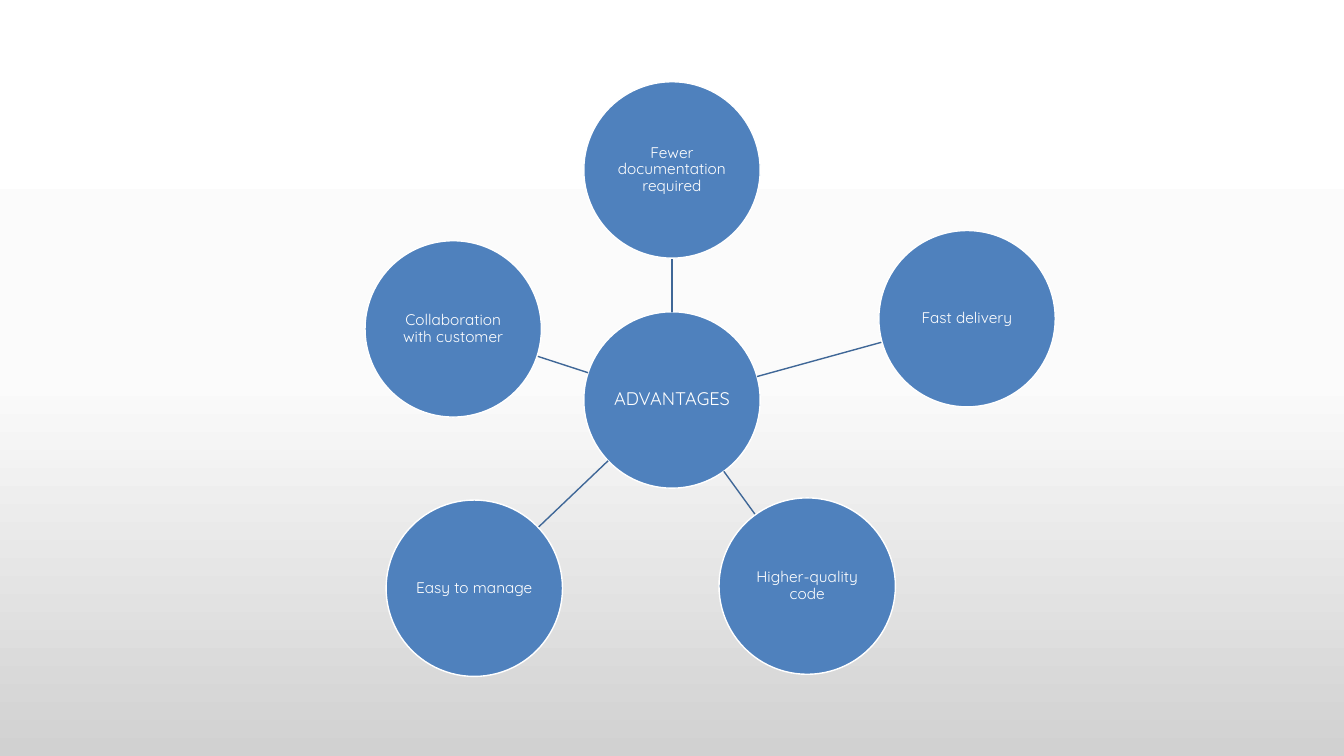
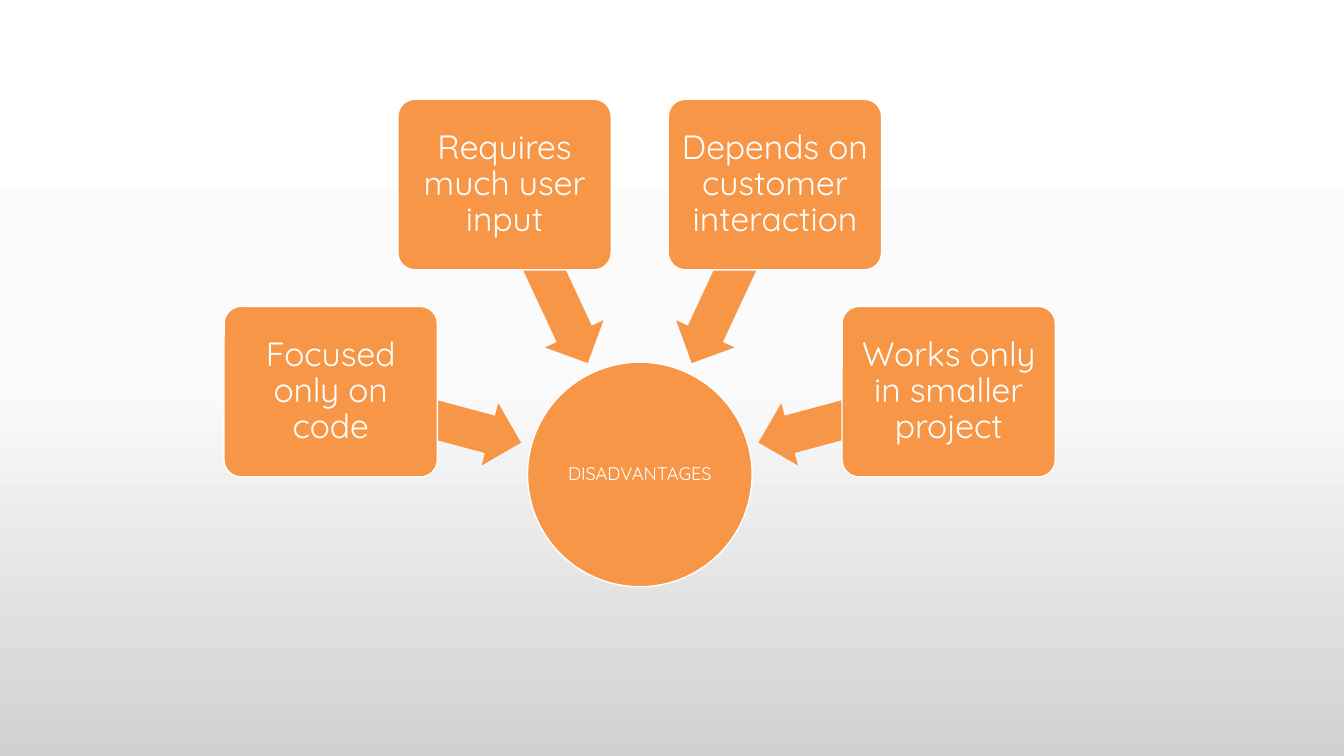
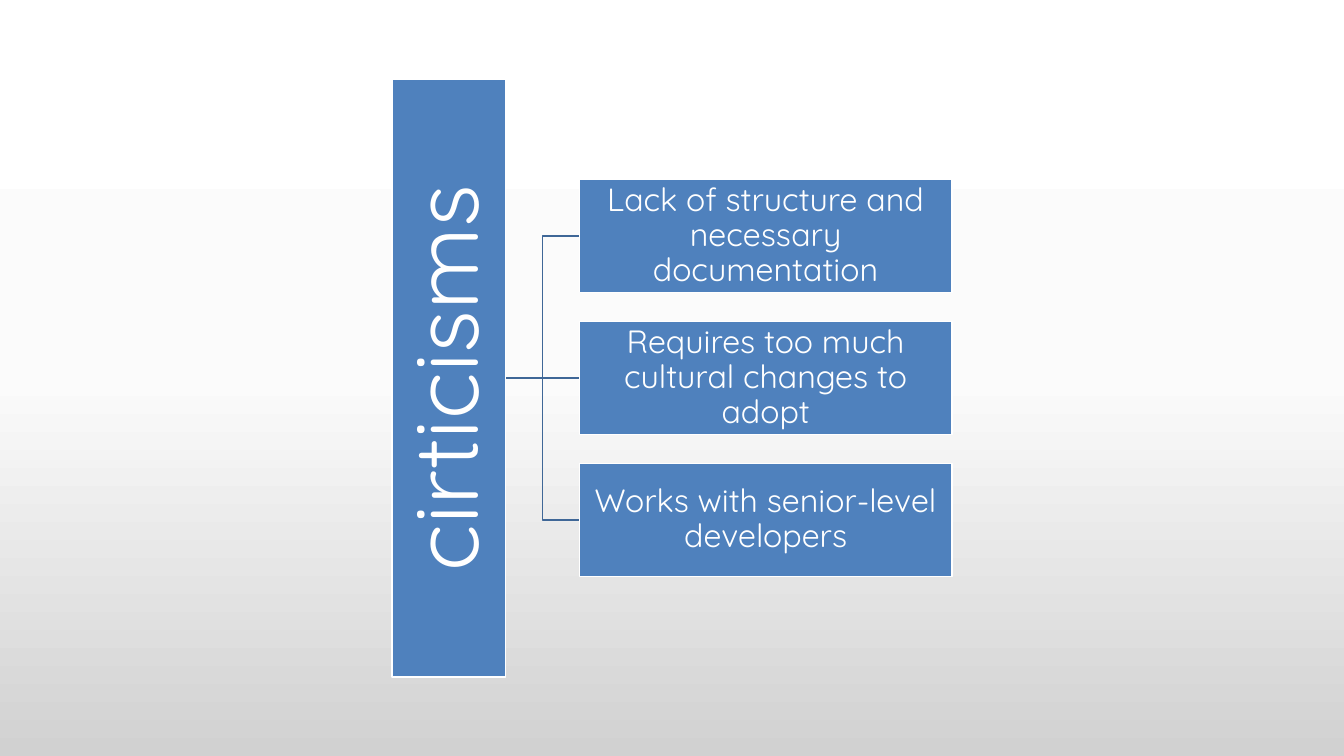
"""Build three diagram slides: advantages, disadvantages and criticisms."""
import copy
import math

from lxml import etree
from pptx import Presentation
from pptx.dml.color import RGBColor
from pptx.enum import shapes, text
from pptx.oxml import ns
from pptx.util import Pt

WHITE = RGBColor(0xFF, 0xFF, 0xFF)
BLUE = RGBColor(0x4F, 0x81, 0xBD)
DARK_BLUE = RGBColor(0x3F, 0x67, 0x97)
ORANGE = RGBColor(0xF7, 0x96, 0x46)
BACKGROUND = [(0, WHITE), (0.5, RGBColor(0xFB, 0xFB, 0xFB)), (1, RGBColor(0xD1, 0xD1, 0xD1))]
FONT = "Quicksand"
SHAPE = shapes.MSO_SHAPE
CONNECTOR = shapes.MSO_CONNECTOR


def set_background(master):
    fill = master.background.fill
    fill.gradient()
    fill.gradient_angle = 270
    stops = master.element.xpath("./p:cSld/p:bg//a:gsLst")[0]
    stops.insert(1, copy.deepcopy(stops[0]))
    for stop, (position, color) in zip(fill.gradient_stops, BACKGROUND):
        stop.position = position
        stop.color.rgb = color


def add_slide(prs):
    return prs.slides.add_slide(prs.slide_layouts[6])


def polar(center, angle, distance):
    a = math.radians(angle)
    return center[0] + distance * math.cos(a), center[1] + distance * math.sin(a)


def add_block(s, kind, center, size, color, rotation=0, adjustments=()):
    (x, y), (w, h) = center, size
    sp = s.shapes.add_shape(kind, Pt(x - w / 2), Pt(y - h / 2), Pt(w), Pt(h))
    sp.shadow.inherit = False
    sp.rotation = rotation
    sp.fill.solid()
    sp.fill.fore_color.rgb = color
    sp.line.fill.background()
    for i, value in enumerate(adjustments):
        sp.adjustments[i] = value
    return sp


def add_label(sp, words, size, inset):
    sp.line.color.rgb = WHITE
    sp.line.width = Pt(1)
    tf = sp.text_frame
    tf.word_wrap = True
    tf.vertical_anchor = text.MSO_ANCHOR.MIDDLE
    tf.margin_left = tf.margin_right = tf.margin_top = tf.margin_bottom = Pt(inset)
    p = tf.paragraphs[0]
    p.text = words
    p.alignment = text.PP_ALIGN.CENTER
    p.line_spacing = 0.9
    p.font.name = FONT
    p.font.size = Pt(size)
    p.font.color.rgb = WHITE


def add_link(s, start, end, kind=CONNECTOR.STRAIGHT):
    link = s.shapes.add_connector(kind, *(Pt(v) for v in (*start, *end)))
    link.line.color.rgb = DARK_BLUE
    link.line.width = Pt(1)
    etree.SubElement(link.element.spPr, ns.qn("a:effectLst"))


def add_circle(s, center, diameter, color, words, size):
    sp = add_block(s, SHAPE.OVAL, center, (diameter, diameter), color)
    add_label(sp, words, size, 0.7)


def build_advantages(prs):
    s = add_slide(prs)
    hub, diameter = (480, 285.7), 126
    radius = diameter / 2
    add_circle(s, hub, diameter, BLUE, "ADVANTAGES", 13)
    for words, angle, distance in [
        ("Fewer documentation required", 270, 164.3),
        ("Fast delivery", 344.6, 218.6),
        ("Higher-quality code", 54, 164.3),
        ("Easy to manage", 136.4, 195),
        ("Collaboration with customer", 198, 164.3),
    ]:
        add_link(s, polar(hub, angle, radius), polar(hub, angle, distance - radius))
        add_circle(s, polar(hub, angle, distance), diameter, BLUE, words, 11)


def build_disadvantages(prs):
    s = add_slide(prs)
    hub = (457, 338.9)
    add_circle(s, hub, 160.4, ORANGE, "DISADVANTAGES", 13)
    for i, words in enumerate([
        "Focused only on code",
        "Requires much user input",
        "Depends on customer interaction",
        "Works only in smaller project",
    ]):
        angle = 195 + 50 * i
        add_block(s, SHAPE.LEFT_ARROW, polar(hub, angle, 158), (140.4, 46), ORANGE, angle, (0.6, 0.5))
        box = add_block(s, SHAPE.ROUNDED_RECTANGLE, polar(hub, angle, 228.5), (152.4, 121.8),
                        ORANGE, adjustments=(0.1,))
        add_label(box, words, 24, 3.6)


def build_criticisms(prs):
    s = add_slide(prs)
    middle, height, pitch = 270, 81, 101.4
    left, width = 414, 266
    root = (320.6, middle)
    trunk = (root[0] + height / 2, middle)
    items = [
        "Lack of structure and necessary documentation",
        "Requires too much cultural changes to adopt",
        "Works with senior-level developers",
    ]
    for i, words in enumerate(items):
        y = middle + (i - 1) * pitch
        kind = CONNECTOR.STRAIGHT if y == middle else CONNECTOR.ELBOW
        add_link(s, trunk, (left, y), kind)
        box = add_block(s, SHAPE.RECTANGLE, (left + width / 2, y), (width, height), BLUE)
        add_label(box, words, 23, 1.4)
    title = add_block(s, SHAPE.RECTANGLE, root, (427, height), BLUE, 270)
    add_label(title, "cirticisms", 65, 3.6)


def main():
    prs = Presentation()
    prs.slide_width, prs.slide_height = Pt(960), Pt(540)
    set_background(prs.slide_master)
    build_advantages(prs)
    build_disadvantages(prs)
    build_criticisms(prs)
    prs.save("out.pptx")


if __name__ == "__main__":
    main()
